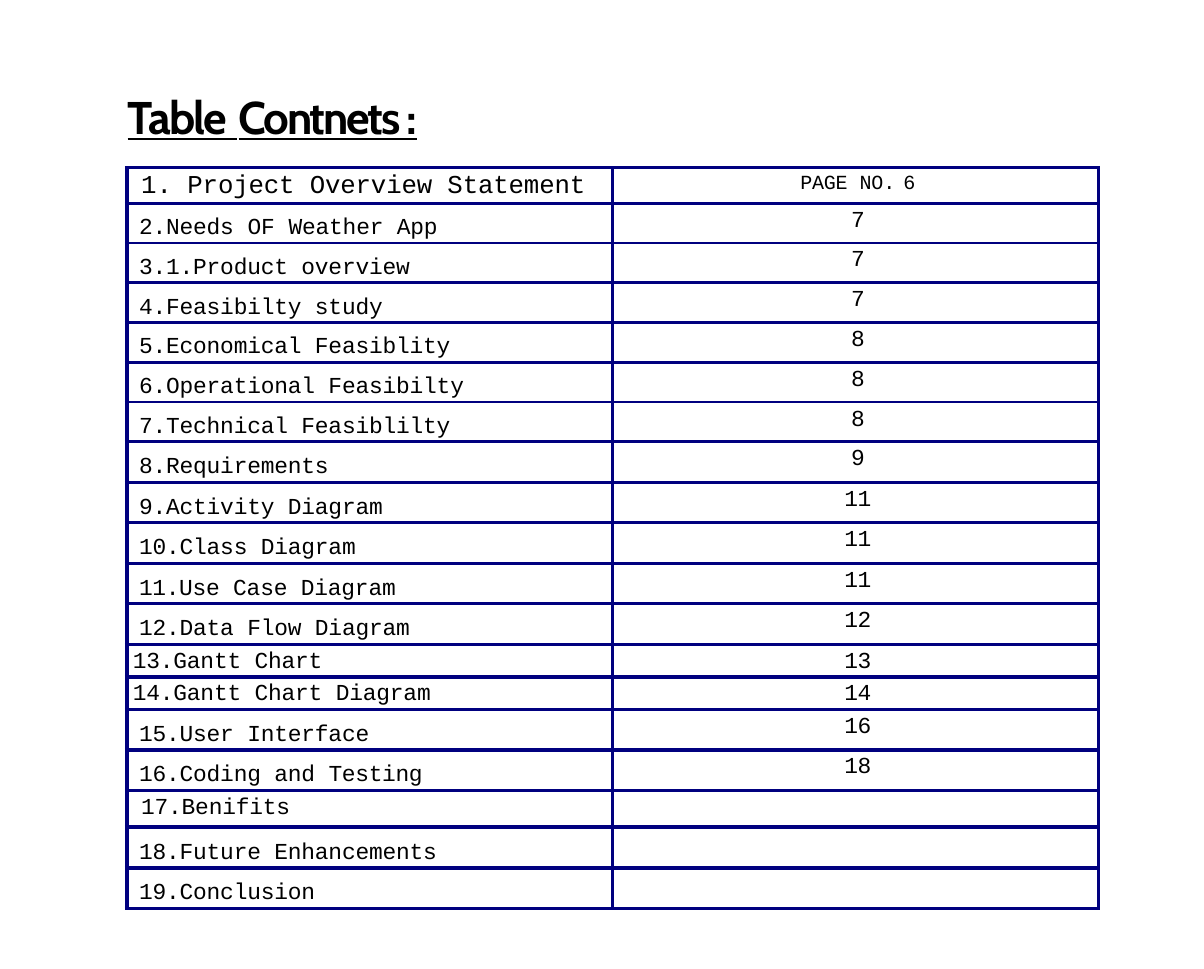
from lxml.etree import SubElement
from pptx import Presentation
from pptx.dml.color import RGBColor
from pptx.enum.text import MSO_AUTO_SIZE, PP_ALIGN
from pptx.oxml.ns import qn
from pptx.util import Inches, Pt

INK = {"text": "000000", "line": "00007F"}
TITLE = [("Table", -1.4, 32), (" ", 0.8, 32), ("Contnets :", -1.6, 32), ("\t", -1.6, 20)]
ROWS = [
    ([("1. ", 0), ("Project Overview Statement", -0.1)], 0.14, 3.3,
     [("PAGE ", -0.2), ("NO.\t", -0.1), ("6", 0)]),
    ([("2.Needs ", -0.1), ("OF ", 0), ("Weather App", -0.1)], 0.12, 8.1, [("7", 0)]),
    ([("3.1.Product overview", -0.1)], 0.12, 8.6, [("7", 0)]),
    ([("4.Feasibilty study", -0.1)], 0.12, 8.6, [("7", 0)]),
    ([("5.Economical Feasiblity", -0.1)], 0.12, 8.6, [("8", 0)]),
    ([("6.Operational Feasibilty", -0.1)], 0.12, 8.6, [("8", 0)]),
    ([("7.Technical Feasiblilty", -0.1)], 0.12, 8.6, [("8", 0)]),
    ([("8.Requirements", -0.1)], 0.12, 9.1, [("9", 0)]),
    ([("9.Activity Diagram", -0.1)], 0.12, 9.1, [("11", -0.4)]),
    ([("10.Class Diagram", -0.1)], 0.12, 9.1, [("11", -0.4)]),
    ([("11.Use ", -0.2), ("Case Diagram", -0.1)], 0.12, 9.1, [("11", -0.4)]),
    ([("12.Data Flow Diagram", -0.1)], 0.12, 9.1, [("12", -0.4)]),
    ([("13.Gantt Chart", -0.1)], 0.06, 3.5, [("13", -0.4)]),
    ([("14.Gantt Chart Diagram", -0.1)], 0.06, 3.5, [("14", -0.4)]),
    ([("15.User Interface", -0.1)], 0.12, 9.1, [("16", -0.4)]),
    ([("16.Coding and", -0.1), (" Testing", -0.2)], 0.12, 9.1, [("18", -0.1)]),
    ([("17.Benifits", -0.1)], 0.14, 3.5, []),
    ([("18.Future Enhancements", -0.1)], 0.12, 9.1, []),
    ([("19.Conclusion", -0.1)], 0.12, 9.1, []),
]
HIGH = {0: 0.35, 12: 0.27, 13: 0.27}
THICK = {12, 14, 16, 17}
THIN, WIDE = 2.25, 3


def add_run(para, text, gap, size, face):
    run = para.add_run()
    run.text = text
    run.font.size = Pt(size)
    run.font.name = face
    run.font.color.rgb = RGBColor.from_string(INK["text"])
    run.font._element.set("spc", str(round(gap * 100)))
    return run


def set_para(para, dent, gap, tab=None):
    para.space_before = Pt(gap)
    props = para._p.get_or_add_pPr()
    props.set("marL", str(Inches(dent)))
    props.set("indent", "0")
    if tab:
        tabs = SubElement(props, qn("a:tabLst"))
        SubElement(tabs, qn("a:tab"), pos=str(Inches(tab)), algn="l")


def set_edges(cell, edges):
    props = cell._tc.get_or_add_tcPr()
    for side, width in edges.items():
        line = SubElement(props, qn("a:ln" + side), w=str(Pt(width)))
        fill = SubElement(line, qn("a:solidFill"))
        SubElement(fill, qn("a:srgbClr"), val=INK["line"])
    cell.fill.background()


def add_title(slide):
    box = slide.shapes.add_textbox(Inches(1.23), Inches(0.85), Inches(3.63), Inches(0.89))
    frame = box.text_frame
    frame.word_wrap = True
    frame.auto_size = MSO_AUTO_SIZE.SHAPE_TO_FIT_TEXT
    frame.margin_left = frame.margin_right = frame.margin_bottom = 0
    frame.margin_top = Inches(0.01)
    para = frame.paragraphs[0]
    set_para(para, 0.01, 1, 2.9)
    for text, gap, size in TITLE:
        font = add_run(para, text, gap, size, "Cabin").font
        font.bold = font.underline = True


def add_list(slide):
    frame = slide.shapes.add_table(len(ROWS), 2, Inches(1.23), Inches(1.63),
                                   Inches(9.44), Inches(6.65))
    table = frame.table
    table.first_row = table.horz_banding = False
    for row, (label, dent, gap, page) in enumerate(ROWS):
        table.rows[row].height = Inches(HIGH.get(row, 0.36))
        top = WIDE if row - 1 in THICK else THIN
        base = WIDE if row in THICK else THIN
        parts = [(label, dent, gap, 16 if row else 18, None),
                 (page, 0.04, 3.5, 16 if row else 14, None if row else 0.98)]
        for col, (runs, left, lead, size, tab) in enumerate(parts):
            cell = table.cell(row, col)
            cell.margin_left = cell.margin_right = cell.margin_bottom = 0
            cell.margin_top = Pt(lead) if runs else 0
            set_edges(cell, {"L": THIN if col else WIDE, "R": THIN, "T": top, "B": base})
            if not runs:
                continue
            para = cell.text_frame.paragraphs[0]
            if col:
                para.alignment = PP_ALIGN.CENTER
            set_para(para, left, lead, tab)
            for text, space in runs:
                add_run(para, text, space, size, "Courier New")


def main():
    deck = Presentation()
    deck.slide_width, deck.slide_height = Inches(11.69), Inches(9.41)
    slide = deck.slides.add_slide(deck.slide_layouts[6])
    add_title(slide)
    add_list(slide)
    deck.save("out.pptx")


if __name__ == "__main__":
    main()
